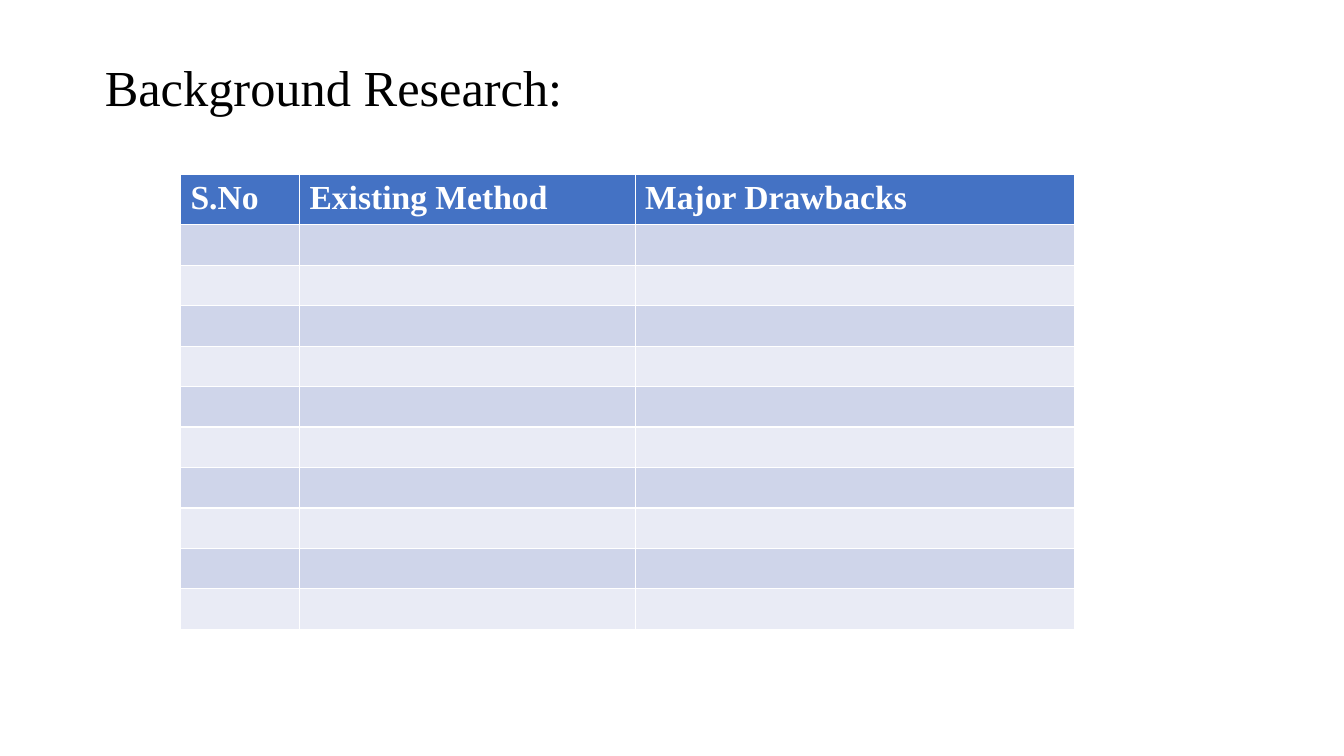
"""Build the background research slide with its empty comparison table."""
from dataclasses import dataclass

from pptx import Presentation
from pptx.dml.color import RGBColor
from pptx.enum.text import MSO_ANCHOR, MSO_AUTO_SIZE, PP_ALIGN
from pptx.slide import Slide
from pptx.text.text import TextFrame
from pptx.util import Inches, Pt

LEFT = PP_ALIGN.LEFT
TOP = MSO_ANCHOR.TOP
GROW = MSO_AUTO_SIZE.SHAPE_TO_FIT_TEXT

SLIDE_WIDTH = Inches(13.33)
SLIDE_HEIGHT = Inches(7.5)
TITLE_ONLY_LAYOUT = 5


@dataclass(frozen=True)
class Theme:
    """Font, colours and type sizes of the slide."""

    font: str = "Times New Roman"
    title_color: RGBColor = RGBColor(0, 0, 0)
    header_color: RGBColor = RGBColor(255, 255, 255)
    header_fill: RGBColor = RGBColor(0x44, 0x72, 0xC4)
    bands: tuple[RGBColor, RGBColor] = (
        RGBColor(0xCF, 0xD5, 0xEA),
        RGBColor(0xE9, 0xEB, 0xF5),
    )
    title_size: int = 36
    header_size: int = 24


@dataclass(frozen=True)
class Column:
    """A table column: its heading and its width in percent of the slide."""

    heading: str
    width: float


THEME = Theme()
COLUMNS = (
    Column("S.No", 8.85),
    Column("Existing Method", 24.98),
    Column("Major Drawbacks", 32.71),
)
BODY_ROWS = 10
HEADER_HEIGHT = 6.53
ROW_HEIGHT = 5.35


def across(percent: float) -> int:
    """Return a share of the slide's width."""
    return round(SLIDE_WIDTH * percent / 100)


def down(percent: float) -> int:
    """Return a share of the slide's height."""
    return round(SLIDE_HEIGHT * percent / 100)


def write(frame: TextFrame, text: str, size: int, color: RGBColor, bold: bool) -> None:
    """Write one left-aligned paragraph in the theme's font."""
    frame.text = text
    paragraph = frame.paragraphs[0]
    paragraph.alignment = LEFT
    paragraph.font.name = THEME.font
    paragraph.font.size = Pt(size)
    paragraph.font.bold = bold
    paragraph.font.color.rgb = color


def add_title(slide: Slide, text: str) -> None:
    """Place and format the title placeholder."""
    title = slide.shapes.title
    title.left, title.top = across(7.05), down(6.8)
    title.width, title.height = across(50), down(9.47)
    frame = title.text_frame
    frame.word_wrap = True
    frame.auto_size = GROW
    frame.vertical_anchor = TOP
    write(frame, text, THEME.title_size, THEME.title_color, False)


def add_research_table(slide: Slide, columns: tuple[Column, ...]) -> None:
    """Add the table with a heading row and banded empty rows."""
    table = slide.shapes.add_table(
        BODY_ROWS + 1,
        len(columns),
        across(13.43),
        down(23.07),
        across(sum(column.width for column in columns)),
        down(HEADER_HEIGHT + BODY_ROWS * ROW_HEIGHT),
    ).table
    for index, column in enumerate(columns):
        table.columns[index].width = across(column.width)
        write(table.cell(0, index).text_frame, column.heading,
              THEME.header_size, THEME.header_color, True)
    for index, row in enumerate(table.rows):
        row.height = down(ROW_HEIGHT if index else HEADER_HEIGHT)
        for cell in row.cells:
            cell.fill.solid()
            cell.fill.fore_color.rgb = (
                THEME.bands[(index - 1) % 2] if index else THEME.header_fill
            )


def main() -> None:
    """Create and save the presentation."""
    presentation = Presentation()
    presentation.slide_width = SLIDE_WIDTH
    presentation.slide_height = SLIDE_HEIGHT
    slide = presentation.slides.add_slide(presentation.slide_layouts[TITLE_ONLY_LAYOUT])
    add_title(slide, "Background Research:")
    add_research_table(slide, COLUMNS)
    presentation.save("out.pptx")


if __name__ == "__main__":
    main()
